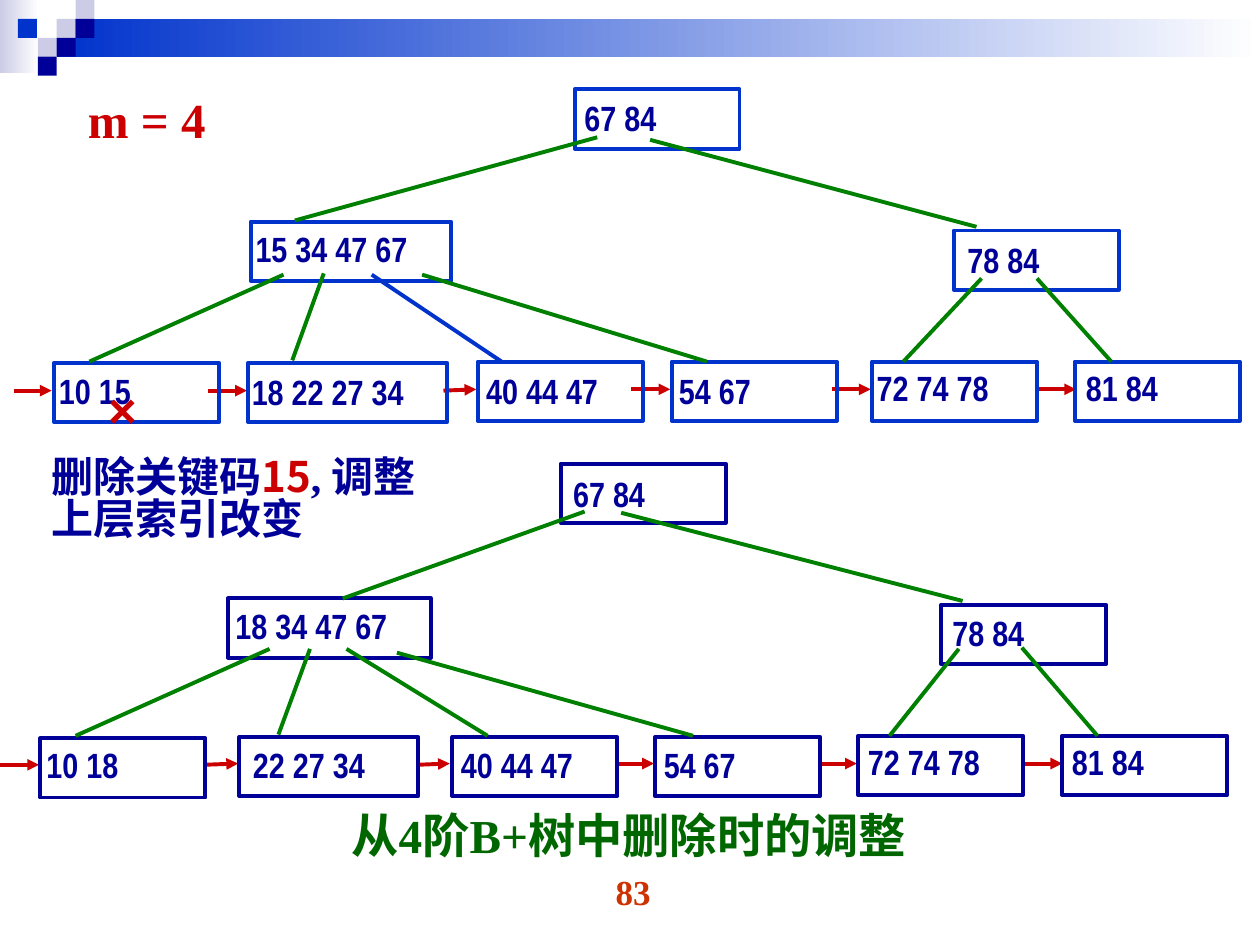
"""Build a slide showing a 4th-order B+ tree before and after deleting key 15."""
from dataclasses import dataclass

from lxml.etree import SubElement
from pptx import Presentation
from pptx.dml.color import RGBColor
from pptx.enum.shapes import MSO_CONNECTOR, MSO_SHAPE
from pptx.enum.text import PP_ALIGN
from pptx.oxml.ns import qn
from pptx.util import Inches, Pt


@dataclass(frozen=True)
class Theme:
    navy: str = "000099"
    blue: str = "0033CC"
    lilac: str = "CCCCE6"
    white: str = "FFFFFF"
    green: str = "008000"
    dark_green: str = "006600"
    red: str = "CC0000"
    orange: str = "CC3300"
    serif: str = "Times New Roman"
    narrow: str = "Arial Narrow"
    sans: str = "Arial"
    cjk: str = "Noto Sans CJK SC"
    key: int = 20
    note: int = 24
    caption: int = 27
    large: int = 28
    line: float = 2.25


T = Theme()


def add_text(x, y, w, h, paragraphs, size, align=PP_ALIGN.LEFT, spacing=1.0):
    tf = s.shapes.add_textbox(Inches(x), Inches(y), Inches(w), Inches(h)).text_frame
    tf.word_wrap = True
    for i, runs in enumerate(paragraphs):
        p = tf.add_paragraph() if i else tf.paragraphs[0]
        p.alignment = align
        p.line_spacing = spacing
        for text, font, color in runs:
            r = p.add_run()
            r.text = text
            r.font.size = Pt(size)
            r.font.bold = True
            r.font.name = font
            r.font.color.rgb = RGBColor.from_string(color)
            SubElement(r.font._element, qn("a:ea")).set("typeface", T.cjk)


def add_line(x1, y1, x2, y2, color, arrow=False):
    line = s.shapes.add_connector(
        MSO_CONNECTOR.STRAIGHT, Inches(x1), Inches(y1), Inches(x2), Inches(y2))
    line.line.color.rgb = RGBColor.from_string(color)
    line.line.width = Pt(T.line)
    if arrow:
        SubElement(line.line._get_or_add_ln(), qn("a:tailEnd")).set("type", "triangle")
    SubElement(line._element.spPr, qn("a:effectLst"))


prs = Presentation()
prs.slide_width, prs.slide_height = Inches(10), Inches(7.5)
s = prs.slides.add_slide(prs.slide_layouts[6])

banner = [
    (0, 0, 0.31, 0.58, T.lilac),
    (0.45, 0.15, 9.55, 0.3, T.blue),
]
for x, y, w, h, color in banner:
    sp = s.shapes.add_shape(
        MSO_SHAPE.RECTANGLE, Inches(x), Inches(y), Inches(w), Inches(h))
    sp.shadow.inherit = False
    sp.line.fill.background()
    sp.fill.gradient()
    sp.fill.gradient_angle = 0
    for stop, stop_color in zip(sp.fill.gradient_stops, (color, T.white)):
        stop.color.rgb = RGBColor.from_string(stop_color)

tile = 0.15
tiles = [
    (3, 1, T.lilac), (4, 0, T.lilac), (4, 1, T.navy), (2, 2, T.lilac),
    (0.95, 1, T.blue), (3, 2, T.navy), (2, 3, T.navy),
]
for col, row, color in tiles:
    sp = s.shapes.add_shape(
        MSO_SHAPE.RECTANGLE, Inches(col * tile), Inches(row * tile),
        Inches(tile), Inches(tile))
    sp.shadow.inherit = False
    sp.line.fill.background()
    sp.fill.solid()
    sp.fill.fore_color.rgb = RGBColor.from_string(color)

# Each node: keys, box left, top and width, label left and top.
before = {
    "outline": T.blue,
    "nodes": [
        ("67 84", 4.56, 0.71, 1.31, 4.54, 0.72),
        ("15 34 47 67", 1.99, 1.76, 1.59, 1.93, 1.76),
        ("78 84", 7.57, 1.83, 1.31, 7.58, 1.84),
        ("10 15", 0.43, 2.88, 1.31, 0.37, 2.88),
        ("18 22 27 34", 1.97, 2.88, 1.58, 1.9, 2.89),
        ("40 44 47", 3.79, 2.87, 1.31, 3.76, 2.88),
        ("54 67", 5.33, 2.87, 1.31, 5.29, 2.88),
        ("72 74 78", 6.92, 2.87, 1.31, 6.86, 2.86),
        ("81 84", 8.53, 2.87, 1.31, 8.52, 2.86),
    ],
    "edges": [
        (4.74, 1.09, 2.34, 1.75, T.green), (5.16, 1.11, 7.75, 1.8, T.green),
        (2.25, 2.18, 0.71, 2.87, T.green), (2.57, 2.17, 2.32, 2.86, T.green),
        (2.95, 2.18, 3.98, 2.87, T.blue), (3.35, 2.18, 5.61, 2.87, T.green),
        (7.79, 2.21, 7.17, 2.87, T.green), (8.23, 2.21, 8.82, 2.87, T.green),
    ],
    "leaf_links": [
        (0.11, 3.1, 0.41, 3.1), (1.65, 3.1, 1.96, 3.1), (3.52, 3.1, 3.78, 3.09),
        (5.01, 3.09, 5.32, 3.09), (6.6, 3.09, 6.91, 3.09), (8.23, 3.09, 8.54, 3.09),
    ],
}
after = {
    "outline": T.navy,
    "nodes": [
        ("67 84", 4.45, 3.68, 1.31, 4.45, 3.7),
        ("18 34 47 67", 1.81, 4.75, 1.61, 1.77, 4.75),
        ("78 84", 7.47, 4.8, 1.31, 7.46, 4.8),
        ("10 18", 0.32, 5.86, 1.31, 0.27, 5.85),
        ("22 27 34", 1.9, 5.85, 1.42, 1.91, 5.85),
        ("40 44 47", 3.59, 5.85, 1.31, 3.56, 5.85),
        ("54 67", 5.2, 5.85, 1.31, 5.17, 5.85),
        ("72 74 78", 6.81, 5.84, 1.31, 6.79, 5.83),
        ("81 84", 8.43, 5.84, 1.31, 8.41, 5.83),
    ],
    "edges": [
        (4.64, 4.06, 2.72, 4.75, T.green), (4.93, 4.07, 7.64, 4.77, T.green),
        (2.14, 5.15, 0.6, 5.84, T.green), (2.46, 5.15, 2.21, 5.83, T.green),
        (2.75, 5.15, 3.87, 5.84, T.green), (3.15, 5.18, 5.5, 5.84, T.green),
        (7.61, 5.15, 7.06, 5.84, T.green), (8.11, 5.14, 8.71, 5.84, T.green),
    ],
    "leaf_links": [
        (0, 6.07, 0.31, 6.07), (1.62, 6.07, 1.89, 6.06), (3.31, 6.07, 3.57, 6.06),
        (4.88, 6.06, 5.19, 6.06), (6.49, 6.06, 6.8, 6.06), (8.13, 6.06, 8.43, 6.06),
    ],
}

for tree in (before, after):
    for link in tree["leaf_links"]:
        add_line(*link, T.red, arrow=True)
    for keys, x, y, w, label_x, label_y in tree["nodes"]:
        sp = s.shapes.add_shape(
            MSO_SHAPE.RECTANGLE, Inches(x), Inches(y), Inches(w), Inches(0.47))
        sp.shadow.inherit = False
        sp.fill.background()
        sp.line.color.rgb = RGBColor.from_string(tree["outline"])
        sp.line.width = Pt(T.line)
        add_text(label_x, label_y, w + 0.25, 0.58, [[(keys, T.narrow, T.navy)]], T.key)
    for edge in tree["edges"]:
        add_line(*edge)

add_text(0.6, 0.66, 1.56, 0.96, [[("m = 4", T.serif, T.red)]], T.large)
add_text(0.76, 2.96, 0.65, 0.71, [[("×", T.sans, T.red)]], T.large)
add_text(0.31, 3.6, 3.5, 0.96, [
    [("删除关键码", T.serif, T.navy), ("15", T.cjk, T.red), (", 调整", T.serif, T.navy)],
    [("上层索引改变", T.serif, T.navy)],
], T.note, spacing=0.82)
add_text(0.49, 6.35, 9, 0.79, [[("从4阶B+树中删除时的调整", T.serif, T.dark_green)]],
         T.caption, PP_ALIGN.CENTER)
add_text(3.86, 6.86, 2.33, 0.52, [[("83", T.serif, T.orange)]], T.key, PP_ALIGN.CENTER)

prs.save("out.pptx")
